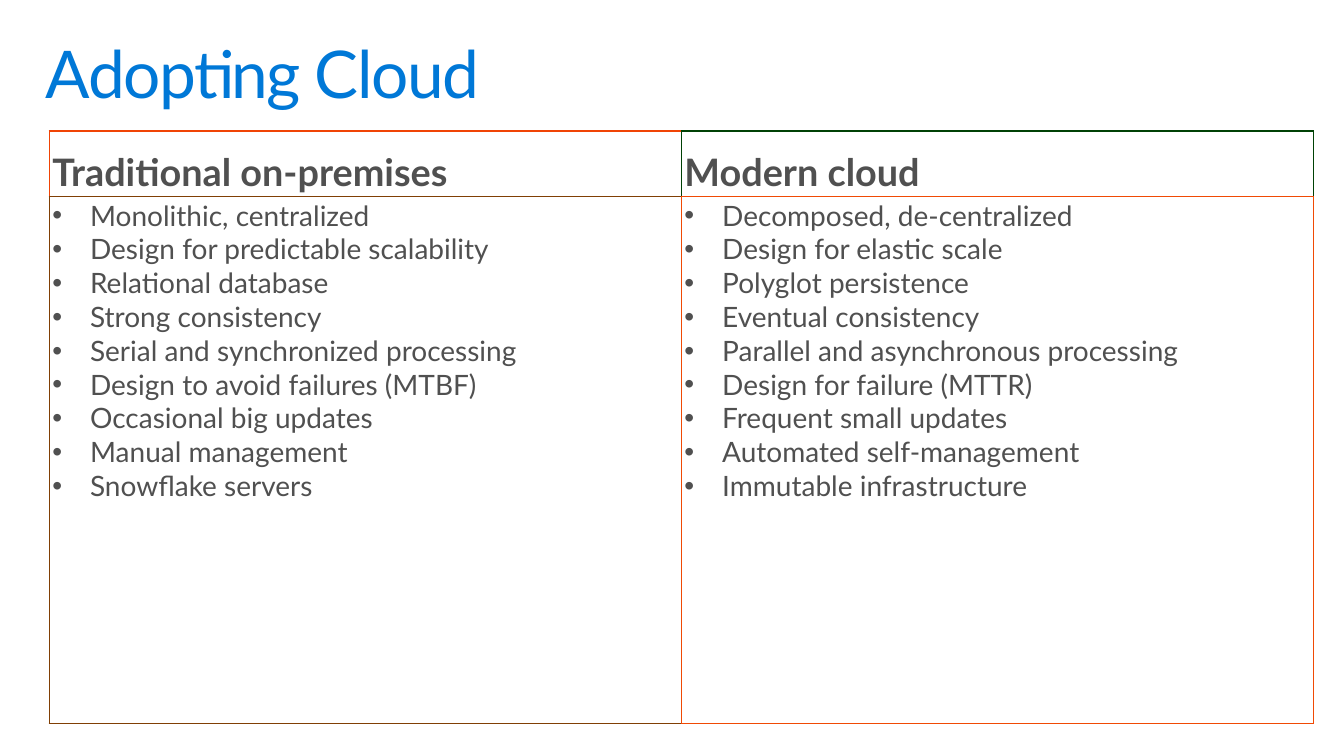
from dataclasses import dataclass

from lxml.etree import SubElement
from pptx import Presentation
from pptx.dml.color import RGBColor
from pptx.enum.text import MSO_ANCHOR, MSO_AUTO_SIZE, PP_ALIGN
from pptx.oxml.ns import qn
from pptx.util import Cm, Pt


@dataclass(frozen=True)
class Theme:
    font: str = "Lato"
    blue: str = "0078D7"
    grey: str = "505050"
    white: str = "FFFFFF"
    red: str = "F04405"
    green: str = "004105"
    brown: str = "803F05"
    orange: str = "F04A05"
    title: int = 47
    head: int = 27
    body: int = 20
    thick: float = 1
    thin: float = 0.38


THEME = Theme()

HEADS = ["Traditional on-premises", "Modern cloud"]
LISTS = [
    [
        "Monolithic, centralized",
        "Design for predictable scalability",
        "Relational database",
        "Strong consistency",
        "Serial and synchronized processing",
        "Design to avoid failures (MTBF)",
        "Occasional big updates",
        "Manual management",
        "Snowflake servers",
    ],
    [
        "Decomposed, de-centralized",
        "Design for elastic scale",
        "Polyglot persistence",
        "Eventual consistency",
        "Parallel and asynchronous processing",
        "Design for failure (MTTR)",
        "Frequent small updates",
        "Automated self-management",
        "Immutable infrastructure",
    ],
]

# Border colours of each cell: left, right, top, bottom
HEAD_EDGES = [
    (THEME.red, THEME.green, THEME.red, THEME.brown),
    (THEME.green, THEME.green, THEME.green, THEME.orange),
]
LIST_EDGES = [
    (THEME.brown, THEME.orange, THEME.brown, THEME.brown),
    (THEME.orange,) * 4,
]


class Deck:
    """Draws on the current slide in the style of a theme."""

    def __init__(self, theme):
        self.theme = theme
        self.file = Presentation()
        self.file.slide_width = Cm(33.87)
        self.file.slide_height = Cm(19.05)
        self.slide = self.file.slides.add_slide(self.file.slide_layouts[5])

    def style(self, para, size, color, bold=False):
        for run in para.runs:
            font = run.font
            font.name = self.theme.font
            font.size = Pt(size)
            font.bold = bold
            font.color.rgb = RGBColor.from_string(color)

    def title(self, text, left, top, width, height):
        shape = self.slide.shapes.title
        shape.left, shape.top = Cm(left), Cm(top)
        shape.width, shape.height = Cm(width), Cm(height)
        frame = shape.text_frame
        frame.text = text
        frame.word_wrap = True
        frame.auto_size = MSO_AUTO_SIZE.NONE
        frame.vertical_anchor = MSO_ANCHOR.TOP
        frame.margin_left = frame.margin_right = Cm(0.41)
        frame.margin_top = frame.margin_bottom = Cm(0.25)
        para = frame.paragraphs[0]
        para.alignment = PP_ALIGN.LEFT
        para.line_spacing = 0.9
        self.style(para, self.theme.title, self.theme.blue)
        for run in para.runs:
            run.font._element.set("spc", "-100")

    def table(self, left, top, widths, heights):
        frame = self.slide.shapes.add_table(
            len(heights), len(widths), Cm(left), Cm(top),
            Cm(sum(widths)), Cm(sum(heights)))
        grid = frame.table
        for col, width in zip(grid.columns, widths):
            col.width = Cm(width)
        for row, height in zip(grid.rows, heights):
            row.height = Cm(height)
        return grid

    def edges(self, cell, colors, sizes):
        """Set the left, right, top and bottom borders."""
        props = cell._tc.get_or_add_tcPr()
        for side, color, size in zip("LRTB", colors, sizes):
            line = SubElement(props, qn(f"a:ln{side}"), w=str(Pt(size)))
            fill = SubElement(line, qn("a:solidFill"))
            SubElement(fill, qn("a:srgbClr"), val=color)

    def cell(self, cell, lines, size, bold=False, bullet=False):
        cell.margin_left = cell.margin_right = Cm(0.08)
        cell.margin_top = cell.margin_bottom = Cm(0.05)
        cell.fill.solid()
        cell.fill.fore_color.rgb = RGBColor.from_string(self.theme.white)
        frame = cell.text_frame
        frame.text = "\n".join(lines)
        for para in frame.paragraphs:
            if bullet:
                self.bullet(para)
            self.style(para, size, self.theme.grey, bold)

    def bullet(self, para):
        props = para._p.get_or_add_pPr()
        props.set("marL", str(Cm(0.95)))
        props.set("indent", str(-Cm(0.95)))
        SubElement(props, qn("a:buFont"), typeface="Arial")
        SubElement(props, qn("a:buChar"), char="•")


def main():
    deck = Deck(THEME)
    deck.title("Adopting Cloud", 0.74, 0.81, 32.39, 2.49)
    grid = deck.table(1.24, 3.3, [15.93, 15.93], [1.65, 13.28])
    thick, thin = THEME.thick, THEME.thin
    for col, (head, items) in enumerate(zip(HEADS, LISTS)):
        top, low = grid.cell(0, col), grid.cell(1, col)
        deck.edges(top, HEAD_EDGES[col], (thick, thick, thick, thin))
        deck.cell(top, [head], THEME.head, bold=True)
        top.vertical_anchor = MSO_ANCHOR.BOTTOM
        deck.edges(low, LIST_EDGES[col], (thick, thick, thin, thick))
        deck.cell(low, items, THEME.body, bullet=True)
        low.vertical_anchor = MSO_ANCHOR.TOP
    deck.file.save("out.pptx")


if __name__ == "__main__":
    main()
